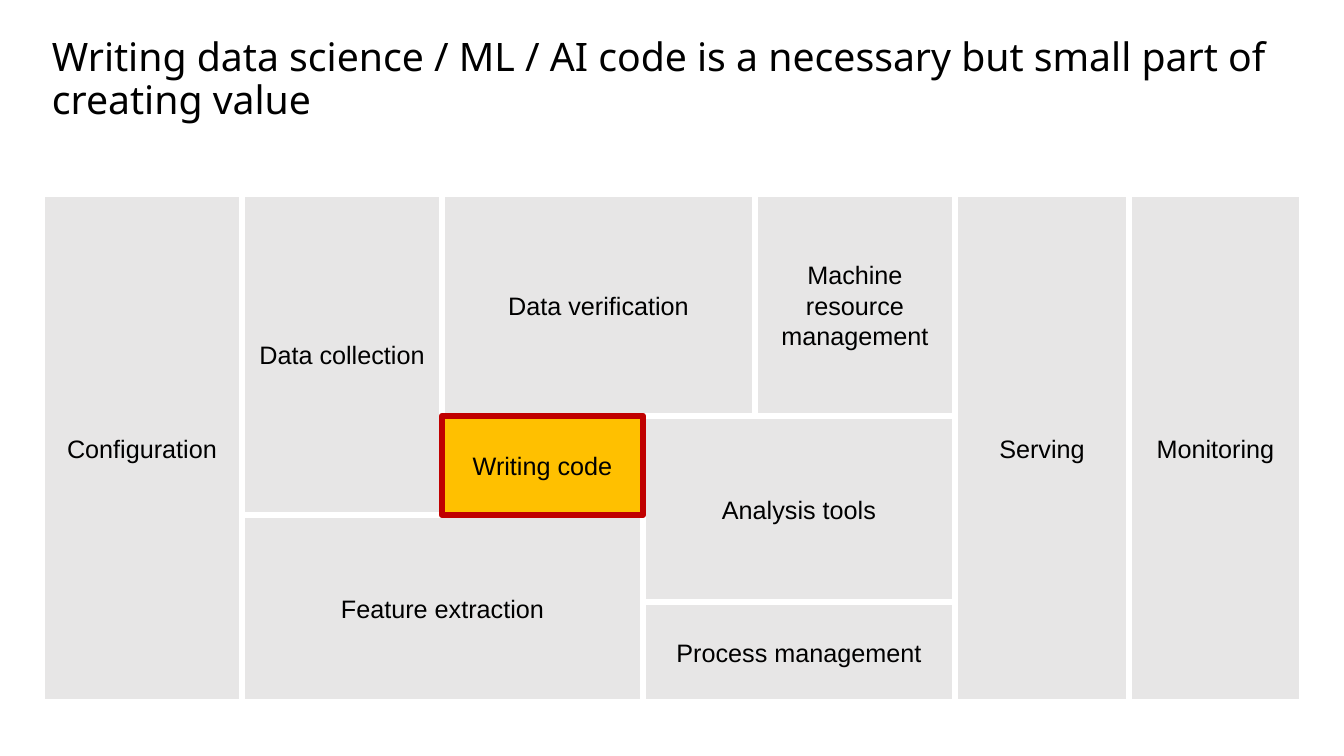
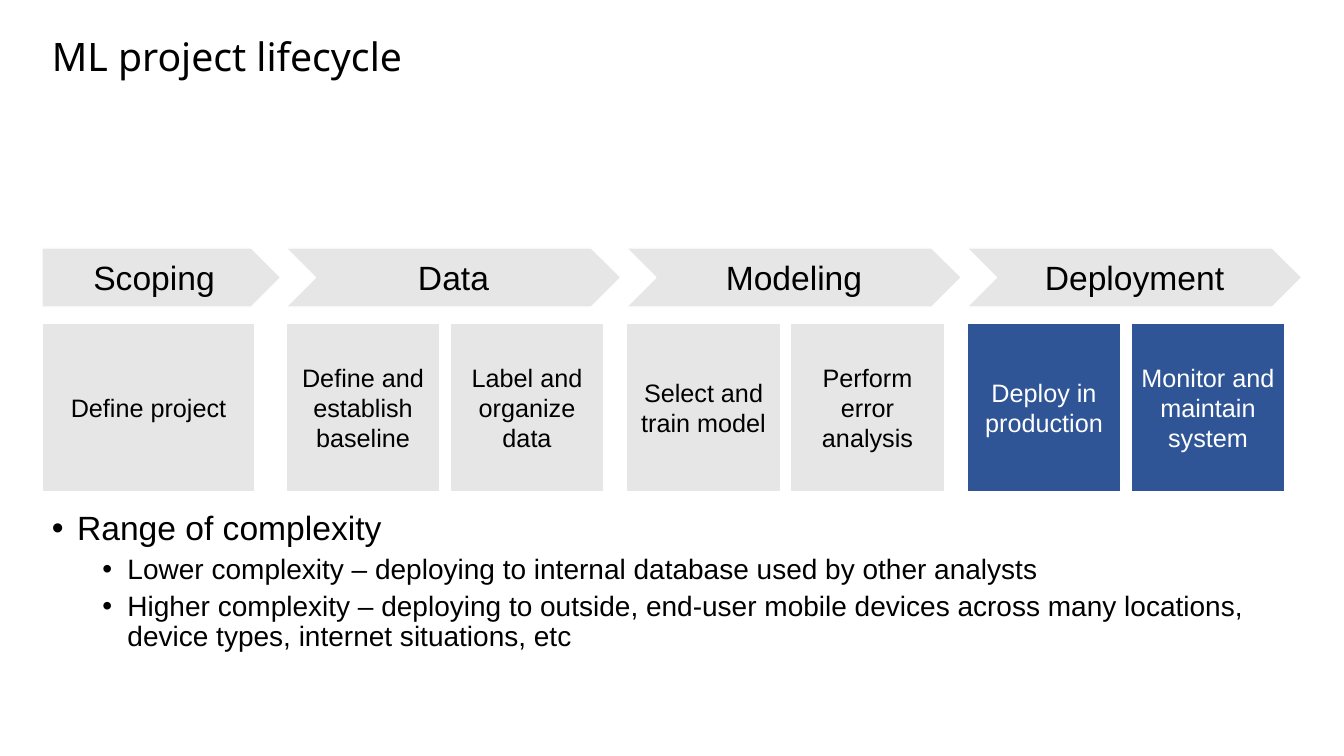
import pptx
import pptx.util
import pptx.dml.color
import pptx.enum.shapes
import pptx.enum.text
import pptx.oxml.ns
import lxml.etree

SCALE = 914400 / 100.8
GREY, BLUE, GOLD, RED = "E7E6E6", "2F5597", "FFC000", "C00000"
BLACK, WHITE = "000000", "FFFFFF"
KIND = pptx.enum.shapes.MSO_SHAPE
ALIGN = pptx.enum.text.PP_ALIGN
ANCHOR = pptx.enum.text.MSO_ANCHOR
TITLE = (42, 33, 1260, 101)


def px(*vals):
    """Turn picture pixels into EMU."""
    return [pptx.util.Emu(round(v * SCALE)) for v in vals]


def color(code):
    """Turn a hex string into a colour."""
    return pptx.dml.color.RGBColor.from_string(code)


def apply(item, style):
    """Set each attribute in a dict of format values."""
    for name, val in style.items():
        setattr(item, name, val)


def write(par, text, size, font="Arial", ink=BLACK, **style):
    """Fill one paragraph with one run."""
    apply(par, style)
    run = par.add_run()
    run.text = text
    apply(run.font, {"size": pptx.util.Pt(size), "name": font})
    run.font.color.rgb = color(ink)


def frame(slide, box):
    """Add a wrapping text box and return its text frame."""
    text = slide.shapes.add_textbox(*px(*box)).text_frame
    apply(text, {"word_wrap": True, "vertical_anchor": ANCHOR.TOP})
    return text


def head(slide, text):
    """Write the slide title."""
    par = frame(slide, TITLE).paragraphs[0]
    write(par, text, 28, "Noto Sans", line_spacing=0.9)


def block(slide, box, text, size=18, kind=KIND.RECTANGLE,
          fill=GREY, ink=BLACK, edge=WHITE, width=1):
    """Add a filled shape with centred text."""
    shape = slide.shapes.add_shape(kind, *px(*box))
    shape.shadow.inherit = False
    shape.fill.solid()
    shape.fill.fore_color.rgb = color(fill)
    shape.line.color.rgb = color(edge)
    shape.line.width = pptx.util.Pt(width)
    body = shape.text_frame
    apply(body, {"word_wrap": True, "vertical_anchor": ANCHOR.MIDDLE})
    write(body.paragraphs[0], text, size, ink=ink, alignment=ALIGN.CENTER)


def mosaic(slide, box, tiles):
    """Lay tiles on uneven grid edges; each spans columns and rows."""
    left, top = box
    cols = [left + x for x in (0, 200, 400, 601, 713, 913, 1087, 1260)]
    rows = [top + y for y in (0, 222, 321, 408, 508)]
    for text, a, b, c, d, *style in tiles:
        place = (cols[a], rows[c], cols[b] - cols[a], rows[d] - rows[c])
        block(slide, place, text, width=4.5, **(style[0] if style else {}))


def phase(slide, box, name, steps, first=False, **style):
    """Draw a phase arrow above its row of equal step cards."""
    left, top, width = box
    kind = KIND.PENTAGON if first else KIND.CHEVRON
    block(slide, (left, top, width, 59), name, 24, kind)
    gap = 10
    room = width - 26 - gap * (len(steps) - 1)
    card = room / len(steps) if not first else room
    card = round(card) + (0 if first else 8 // len(steps))
    for i, step in enumerate(steps):
        place = (left + i * (card + gap), top + 75, card, 169)
        block(slide, place, step, **style)


def bullets(slide, box, items):
    """Write a two-level bullet list."""
    text = frame(slide, box)
    for i, (level, line) in enumerate(items):
        par = text.add_paragraph() if i else text.paragraphs[0]
        write(par, line, 20 if level else 24, level=level, line_spacing=0.9,
              space_before=pptx.util.Pt(5 if level else 10))
        props = par._p.get_or_add_pPr()
        props.set("marL", str(228600 + 457200 * level))
        props.set("indent", "-228600")
        for tag, key, val in (("a:buFont", "typeface", "Arial"),
                              ("a:buChar", "char", "•")):
            mark = lxml.etree.SubElement(props, pptx.oxml.ns.qn(tag))
            mark.set(key, val)


def effort(slide):
    """Build the slide on the parts of creating value."""
    head(slide, "Writing data science / ML / AI code is a necessary "
                "but small part of creating value")
    mosaic(slide, (42, 194), [
        ("Configuration", 0, 1, 0, 4),
        ("Data collection", 1, 2, 0, 2),
        ("Feature extraction", 1, 3, 2, 4),
        ("Data verification", 2, 4, 0, 1),
        ("Machine resource management", 4, 5, 0, 1),
        ("Analysis tools", 3, 5, 1, 3),
        ("Process management", 3, 5, 3, 4),
        ("Serving", 5, 6, 0, 4),
        ("Monitoring", 6, 7, 0, 4),
        ("Writing code", 2, 3, 1, 2, {"fill": GOLD, "edge": RED}),
    ])


def cycle(slide):
    """Build the slide on the project lifecycle."""
    head(slide, "ML project lifecycle")
    phase(slide, (42, 248, 239), "Scoping", ["Define project"], True)
    later = [
        ("Data", ["Define and establish baseline",
                  "Label and organize data"], {}),
        ("Modeling", ["Select and train model",
                      "Perform error analysis"], {}),
        ("Deployment", ["Deploy in production",
                        "Monitor and maintain system"],
         {"fill": BLUE, "ink": WHITE}),
    ]
    for i, (name, steps, style) in enumerate(later):
        phase(slide, (286 + 340.5 * i, 248, 335), name, steps, **style)
    bullets(slide, (42, 507, 1260, 195), [
        (0, "Range of complexity"),
        (1, "Lower complexity – deploying to internal database "
            "used by other analysts"),
        (1, "Higher complexity – deploying to outside, end-user mobile "
            "devices across many locations, device types, "
            "internet situations, etc"),
    ])


deck = pptx.Presentation()
deck.slide_width, deck.slide_height = px(1344, 756)
for build in (effort, cycle):
    build(deck.slides.add_slide(deck.slide_layouts[6]))
deck.save("out.pptx")
